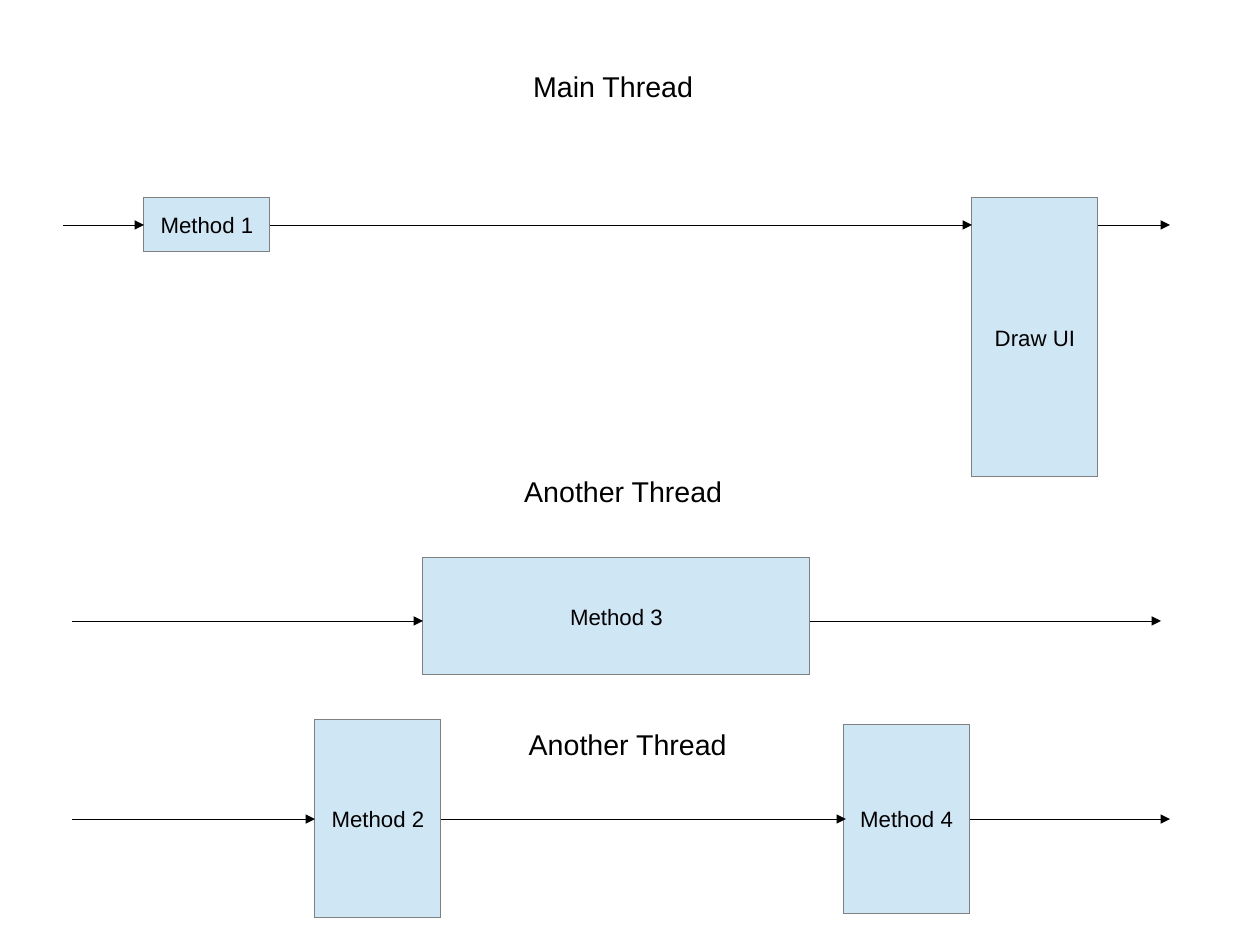
"""Draw three thread timelines with their method boxes."""
import pptx
import pptx.dml.color
import pptx.enum.shapes
import pptx.enum.text
import pptx.oxml.ns
import pptx.util
from lxml import etree

Pt = pptx.util.Pt
qn = pptx.oxml.ns.qn


def rgb(value):
    return pptx.dml.color.RGBColor.from_string(value)


def write(sp, text, *, size, align, anchor, wrap):
    tf = sp.text_frame
    tf.word_wrap = wrap
    tf.vertical_anchor = anchor
    p = tf.paragraphs[0]
    p.alignment = align
    r = p.add_run()
    r.text = text
    r.font.size = Pt(size)
    r.font.name = "Arial"
    r.font.color.rgb = rgb("000000")
    return tf


prs = pptx.Presentation()
prs.slide_width, prs.slide_height = Pt(793.7), Pt(595.28)
s = prs.slides.add_slide(prs.slide_layouts[6])

align = pptx.enum.text.PP_ALIGN
anchor = pptx.enum.text.MSO_ANCHOR
box_width = 79.37

threads = [
    ("Main Thread", (328.82, 39.69, 115.2), (39.69, 737.01), 141.73,
     [("Method 1", 0, 90.71, 124.72, box_width, 34.02),
      ("Draw UI", 0, 612.28, 124.72, box_width, 175.75)]),
    ("Another Thread", (323.15, 294.8, 139), (45.35, 731.34), 391.18,
     [("Method 3", 0, 266.46, 351.5, 243.78, 73.7)]),
    ("Another Thread", (325.98, 454.39, 139), (45.35, 737.01), 515.91,
     [("Method 2", 0, 198.43, 453.54, box_width, 124.72),
      ("Method 4", 1.5, 531.4, 456.38, box_width, 119.06)]),
]

for title, (left, top, width), (start, end), y, methods in threads:
    tails, heads = [start], []
    for name, overlap, x, box_top, w, h in methods:
        sp = s.shapes.add_shape(
            pptx.enum.shapes.MSO_SHAPE.RECTANGLE,
            Pt(x), Pt(box_top), Pt(w), Pt(h))
        sp.shadow.inherit = False
        sp.fill.solid()
        sp.fill.fore_color.rgb = rgb("CFE7F5")
        sp.line.color.rgb = rgb("808080")
        sp.line.width = Pt(0)
        sp._element.remove(sp._element.find(qn("p:style")))
        write(sp, name, size=14, align=align.CENTER,
              anchor=anchor.MIDDLE, wrap=True)
        heads.append(x + overlap)
        tails.append(x + w)

    for tail, head in zip(tails, heads + [end]):
        arrow = s.shapes.add_connector(
            pptx.enum.shapes.MSO_CONNECTOR.STRAIGHT,
            Pt(tail), Pt(y), Pt(head), Pt(y))
        arrow.line.color.rgb = rgb("000000")
        arrow.line.width = Pt(0)
        ln = arrow.line._get_or_add_ln()
        etree.SubElement(ln, qn("a:tailEnd"), type="triangle")
        etree.SubElement(arrow._element.spPr, qn("a:effectLst"))
        arrow._element.remove(arrow._element.find(qn("p:style")))

    sp = s.shapes.add_textbox(Pt(left), Pt(top), Pt(width), Pt(27.4))
    tf = write(sp, title, size=18, align=align.LEFT,
               anchor=anchor.TOP, wrap=False)
    tf.auto_size = pptx.enum.text.MSO_AUTO_SIZE.SHAPE_TO_FIT_TEXT

prs.save("out.pptx")
